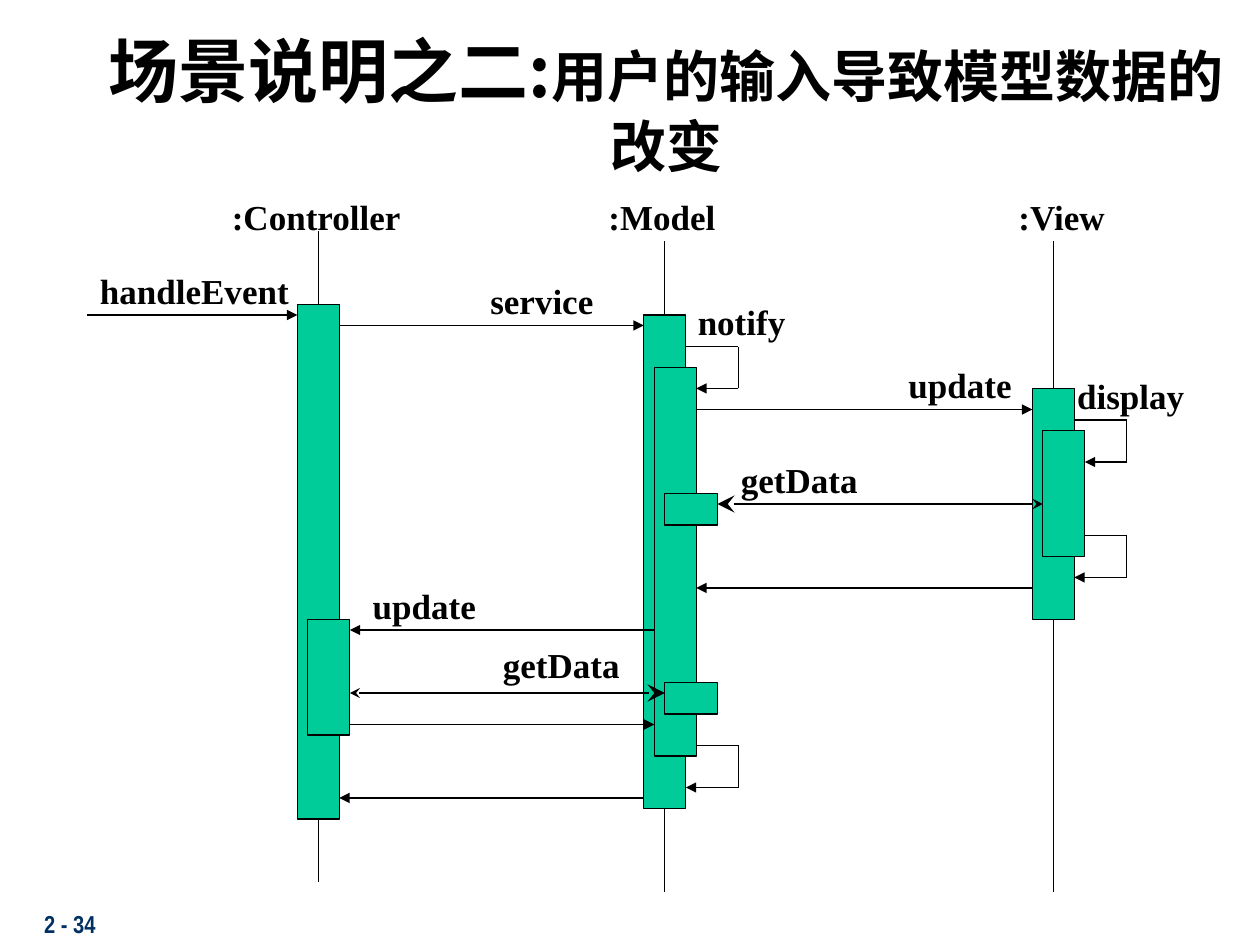
from lxml import etree
from pptx import Presentation
from pptx.dml.color import RGBColor
from pptx.enum import shapes, text
from pptx.oxml import ns
from pptx.util import Cm, Pt

BLACK = RGBColor(0x00, 0x00, 0x00)
GREEN = RGBColor(0x00, 0xCC, 0x99)
NAVY = RGBColor(0x00, 0x31, 0x62)
STEP = 2.54 / 12
LEFT = 1.76
SERIF = "Times New Roman"
HAN = "Noto Sans CJK SC"


def col(n):
    """Return the x position of a grid column."""
    return Cm(LEFT + n * STEP)


def row(n):
    """Return the y position of a grid row."""
    return Cm(n * STEP)


def write(para, words, size=20, font=SERIF, color=BLACK, align=None):
    """Add a bold run with its format to a paragraph."""
    para.alignment = align
    run = para.add_run()
    run.text = words
    run.font.size = Pt(size)
    run.font.bold = True
    run.font.name = font
    run.font.color.rgb = color
    if font == HAN:
        ea = etree.SubElement(run.font._element, ns.qn("a:ea"))
        ea.set("typeface", font)


def label(slide, words, x, y, w):
    """Add a centred message or object name."""
    box = slide.shapes.add_textbox(Cm(x), row(y), Cm(w), Cm(1.11))
    frame = box.text_frame
    frame.word_wrap = False
    frame.margin_left = frame.margin_right = Cm(0)
    frame.vertical_anchor = text.MSO_ANCHOR.MIDDLE
    write(frame.paragraphs[0], words, align=text.PP_ALIGN.CENTER)


def bar(slide, x, y, w, h):
    """Add an activation bar in grid units."""
    box = slide.shapes.add_shape(
        shapes.MSO_SHAPE.RECTANGLE, col(x), row(y), Cm(w * STEP), Cm(h * STEP))
    box.shadow.inherit = False
    box.fill.solid()
    box.fill.fore_color.rgb = GREEN
    box.line.color.rgb = BLACK
    box.line.width = Pt(0.75)


def line(slide, x1, y1, x2, y2, head=None, tail=None):
    """Add a line whose ends may be (type, size) arrowheads."""
    link = slide.shapes.add_connector(
        shapes.MSO_CONNECTOR.STRAIGHT, col(x1), row(y1), col(x2), row(y2))
    link.line.color.rgb = BLACK
    link.line.width = Pt(0.75)
    props = link._element.spPr
    for tag, end in (("a:headEnd", head), ("a:tailEnd", tail)):
        if end:
            kind, size = end
            etree.SubElement(props.find(ns.qn("a:ln")), ns.qn(tag),
                             type=kind, w=size, len=size)
    etree.SubElement(props, ns.qn("a:effectLst"))


def call(slide, x1, x2, y):
    """Add a one-way message arrow."""
    line(slide, x1, y, x2, y, tail=("triangle", "med"))


def loop(slide, x1, x2, turn, y):
    """Add a message that an object sends to itself."""
    line(slide, x1, y, turn, y)
    line(slide, turn, y, turn, y + 4)
    call(slide, turn, x2, y + 4)


def title(slide):
    """Place and fill the title."""
    box = slide.shapes.title
    box.left, box.top, box.width, box.height = Cm(1.9), Cm(0.42), Cm(23.07), Cm(1.48)
    frame = box.text_frame
    frame.auto_size = text.MSO_AUTO_SIZE.NONE
    frame.word_wrap = True
    frame.vertical_anchor = text.MSO_ANCHOR.TOP
    para = frame.paragraphs[0]
    mid = text.PP_ALIGN.CENTER
    write(para, "场景说明之二:", size=40, font=HAN, align=mid)
    write(para, "用户的输入导致模型数据的改变", size=32, font=HAN, align=mid)


def main():
    """Build the sequence diagram slide."""
    deck = Presentation()
    deck.slide_width, deck.slide_height = Cm(25.4), Cm(19.05)
    slide = deck.slides.add_slide(deck.slide_layouts[5])
    title(slide)

    foot = slide.shapes.add_textbox(Cm(0.64), Cm(18.21), Cm(5.28), Cm(0.84))
    foot.text_frame.word_wrap = True
    write(foot.text_frame.paragraphs[0], "2 - 34", size=14,
          font="Arial Narrow", color=NAVY)

    for x, top, start, end, base in ((22, 22, 29, 78, 84),
                                     (55, 23, 30, 77, 85),
                                     (92, 23, 37, 59, 85)):
        line(slide, x, top, x, start)
        bar(slide, x - 2, start, 4, end - start)
        line(slide, x, end, x, base)

    for spot in ((91, 41, 4, 12), (54, 35, 4, 37), (55, 47, 5, 3),
                 (55, 65, 5, 3), (21, 59, 4, 11)):
        bar(slide, *spot)

    for x1, x2, y in ((0, 20, 30), (24, 53, 31), (58, 90, 39), (90, 58, 56),
                      (54, 25, 60), (25, 54, 69), (53, 24, 76)):
        call(slide, x1, x2, y)

    for spot in ((57, 58, 62, 33), (94, 95, 99, 40),
                 (95, 94, 99, 51), (58, 57, 62, 71)):
        loop(slide, *spot)

    small, large = ("stealth", "med"), ("stealth", "lg")
    line(slide, 60, 48, 91, 48, head=large, tail=small)
    line(slide, 25, 66, 55, 66, head=small, tail=large)

    for words, x, y, w in ((":Controller", 4.42, 18, 3.91),
                           (":Model", 12.01, 18, 2.67),
                           (":View", 20.27, 18, 2.26),
                           ("handleEvent", 1.76, 25, 4.32),
                           ("service", 9.63, 26, 2.59),
                           ("notify", 13.82, 28, 2.26),
                           ("update", 18.06, 34, 2.59),
                           ("display", 21.46, 35, 2.67),
                           ("getData", 14.68, 43, 2.87),
                           ("update", 7.26, 55, 2.59),
                           ("getData", 9.88, 60.7, 2.87)):
        label(slide, words, x, y, w)

    deck.save("out.pptx")


if __name__ == "__main__":
    main()
